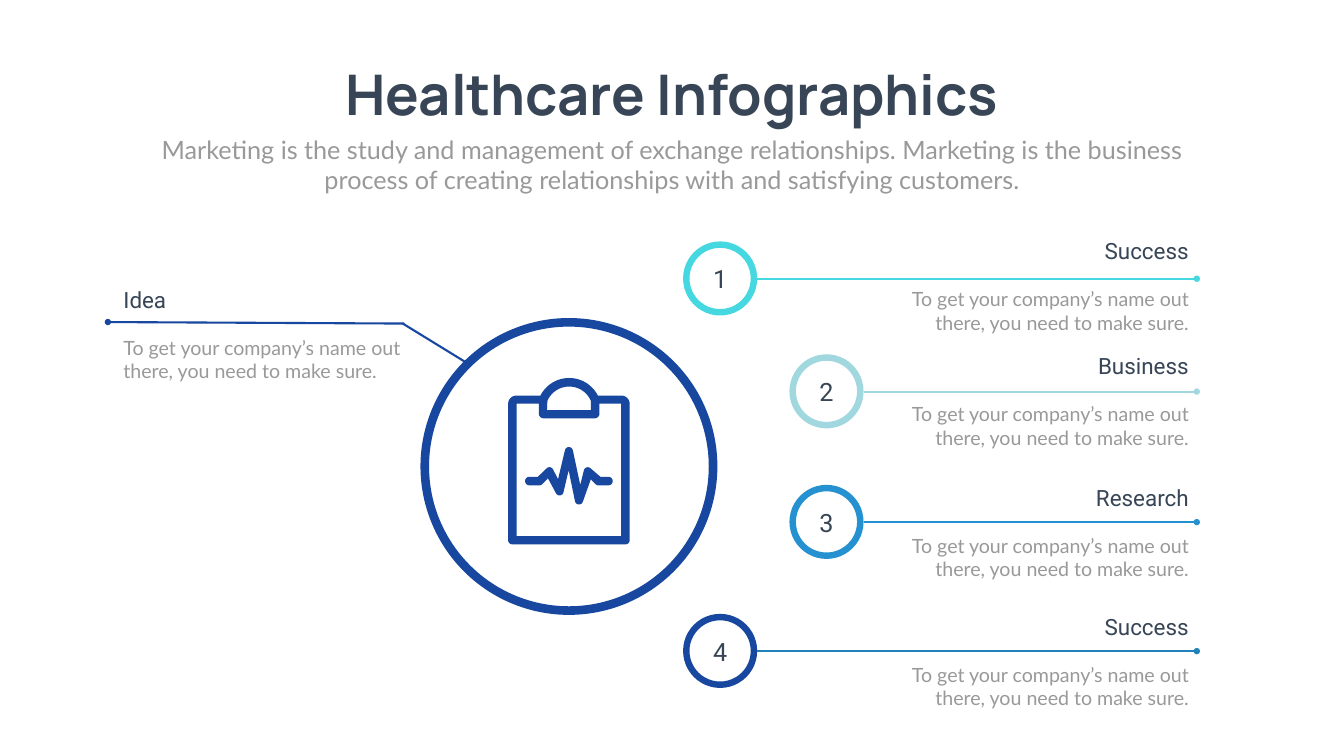
from math import cos, radians, sin

from lxml.etree import SubElement
from pptx import Presentation
from pptx.dml.color import RGBColor
from pptx.enum.shapes import MSO_CONNECTOR, MSO_SHAPE
from pptx.enum.text import MSO_ANCHOR, PP_ALIGN
from pptx.oxml.ns import qn
from pptx.util import Pt

PX = 9144  # EMU in one px: 100 px to the inch

NAVY, SLATE, GREY = "18479F", "374556", "999999"
RING = 147
LINE_END = 2374

TITLE = {"name": "Manrope", "size": Pt(80), "bold": True}
SUBTITLE = {"name": "Lato", "size": Pt(36)}
NUMBER = {"name": "Roboto", "size": Pt(36)}
HEADING = {"name": "Roboto", "size": Pt(32)}
BODY = {"name": "Lato", "size": Pt(28)}

DETAIL = "To get your company’s name out there, you need to make sure."
# ring left, ring top, ring colour, line colour, heading top, heading
STEPS = [
    (1355, 479, "45D8E0", "45D8E0", 466, "Success"),
    (1566, 703, "A1D7DF", "A1D7DF", 694, "Business"),
    (1566, 962, "2591D0", "2591D0", 955, "Research"),
    (1355, 1218, NAVY, "2182BB", 1211, "Success"),
]


def paint(color_holder, color):
    color_holder.rgb = RGBColor.from_string(color)


def fill_shape(shape, color):
    shape.shadow.inherit = False
    shape.fill.solid()
    paint(shape.fill.fore_color, color)
    shape.line.fill.background()


def place(shape, *bounds):
    for name, value in zip(("left", "top", "width", "height"), bounds):
        setattr(shape, name, value * PX)


def write(box, text, style, color, align, anchor=MSO_ANCHOR.TOP):
    frame = box.text_frame
    frame.word_wrap = True
    frame.vertical_anchor = anchor
    para = frame.paragraphs[0]
    para.alignment = align
    para.space_before = Pt(0)
    span = para.add_run()
    span.text = text
    for name, value in style.items():
        setattr(span.font, name, value)
    paint(span.font.color, color)


def add_text(page, bounds, text, style, color, align):
    box = page.shapes.add_textbox(*(value * PX for value in bounds))
    write(box, text, style, color, align)


def add_ring(page, left, top, size, thickness, color):
    ring = page.shapes.add_shape(
        MSO_SHAPE.DONUT, left * PX, top * PX, size * PX, size * PX)
    ring.adjustments[0] = thickness
    fill_shape(ring, color)


def add_line(page, start, end, color, dot=None):
    """Draw a straight line; dot is the end with a dot, headEnd or tailEnd."""
    line = page.shapes.add_connector(
        MSO_CONNECTOR.STRAIGHT, *(value * PX for value in start + end))
    line.line.width = Pt(3)
    paint(line.line.color, color)
    properties = line.line._get_or_add_ln()
    if dot:
        SubElement(properties, qn(f"a:{dot}"), type="oval")
    SubElement(properties.getparent(), qn("a:effectLst"))


def arc(x, y, radius, start, end, steps=8):
    """Points on a circle; angles run clockwise from the right."""
    angles = [radians(start + (end - start) * i / steps) for i in range(steps + 1)]
    return [(x + radius * cos(a), y + radius * sin(a)) for a in angles]


def add_outline(page, contours, color):
    contours = [[(round(x * PX), round(y * PX)) for x, y in c] for c in contours]
    builder = page.shapes.build_freeform(*contours[0][0], scale=1.0)
    for number, contour in enumerate(contours):
        if number:
            builder.move_to(*contour[0])
        builder.add_line_segments(contour[1:], close=True)
    fill_shape(builder.convert_to_shape(), color)


def add_clipboard(page):
    # Board with its clip: outer edge, clip opening, paper opening
    outer = (arc(1024, 801, 16, 180, 270) + arc(1129, 814, 64, 207, 333, 24)
             + arc(1233, 801, 16, 270, 360) + arc(1241, 1072, 8, 0, 90)
             + arc(1016, 1072, 8, 90, 180))
    clip = arc(1129, 814, 47, 203, 337, 24) + [(1172, 814), (1085, 814)]
    paper = ([(1025, 801), (1069, 801)] + arc(1078, 821, 9, 180, 90)
             + arc(1180, 821, 9, 90, 0)
             + [(1189, 801), (1232, 801), (1232, 1064), (1025, 1064)])
    add_outline(page, [outer, clip, paper], NAVY)

    # Heartbeat with rounded ends and peaks
    pulse = (arc(1050, 954.5, 8.5, 90, 270) + [(1067, 946)]
             + arc(1090, 935, 8, 225, 330) + [(1107, 951)]
             + arc(1128.5, 895, 8, 190, 350) + [(1151, 962)]
             + arc(1166, 935, 8, 200, 315) + [(1191, 946)]
             + arc(1207, 954.5, 8.5, 270, 450) + arc(1187, 955, 8, 90, 135)
             + [(1172, 951)] + arc(1148.5, 993, 8, 20, 170) + [(1128, 933)]
             + arc(1110, 975, 8, 15, 155) + [(1087, 949)]
             + arc(1070, 955, 8, 45, 90))
    add_outline(page, [pulse], NAVY)


def add_topic(page, left, top, heading, align):
    """Heading above a line and its detail below, in a 624 px column."""
    indent = 125 if align == PP_ALIGN.RIGHT else 0
    add_text(page, (left + indent, top, 499, 64), heading, HEADING, SLATE, align)
    add_text(page, (left, top + 99, 624, 104), DETAIL, BODY, GREY, align)


def add_step(page, number, left, top, ring_color, line_color, heading_top, heading):
    middle = top + RING // 2 + 1
    add_ring(page, left, top, RING, 0.087, ring_color)
    add_line(page, (left + RING, middle), (LINE_END, middle), line_color, "tailEnd")
    add_text(page, (left + 20, top + 39, 107, 71), str(number),
             NUMBER, SLATE, PP_ALIGN.CENTER)
    add_topic(page, 1744, heading_top, heading, PP_ALIGN.RIGHT)


def main():
    deck = Presentation()
    deck.slide_width, deck.slide_height = 2666 * PX, 1500 * PX
    page = deck.slides.add_slide(deck.slide_layouts[0])
    page.background.fill.solid()
    paint(page.background.fill.fore_color, "FEFFFE")

    # Title and subtitle
    title, subtitle = page.placeholders
    place(title, 620, 112, 1426, 145)
    write(title, "Healthcare Infographics", TITLE, SLATE,
          PP_ALIGN.CENTER, MSO_ANCHOR.MIDDLE)
    place(subtitle, 292, 261, 2082, 131)
    write(subtitle, "Marketing is the study and management of exchange "
          "relationships. Marketing is the business process of creating "
          "relationships with and satisfying customers.",
          SUBTITLE, GREY, PP_ALIGN.CENTER)

    # Central circle and the idea that leads to it
    add_ring(page, 834, 631, 589, 0.029, NAVY)
    add_line(page, (214, 639), (802, 642), NAVY, "headEnd")
    add_line(page, (799, 642), (921, 717), NAVY)
    add_topic(page, 235, 562, "Idea", PP_ALIGN.LEFT)
    add_clipboard(page)

    # Numbered steps
    for number, step in enumerate(STEPS, start=1):
        add_step(page, number, *step)

    deck.save("out.pptx")


if __name__ == "__main__":
    main()
